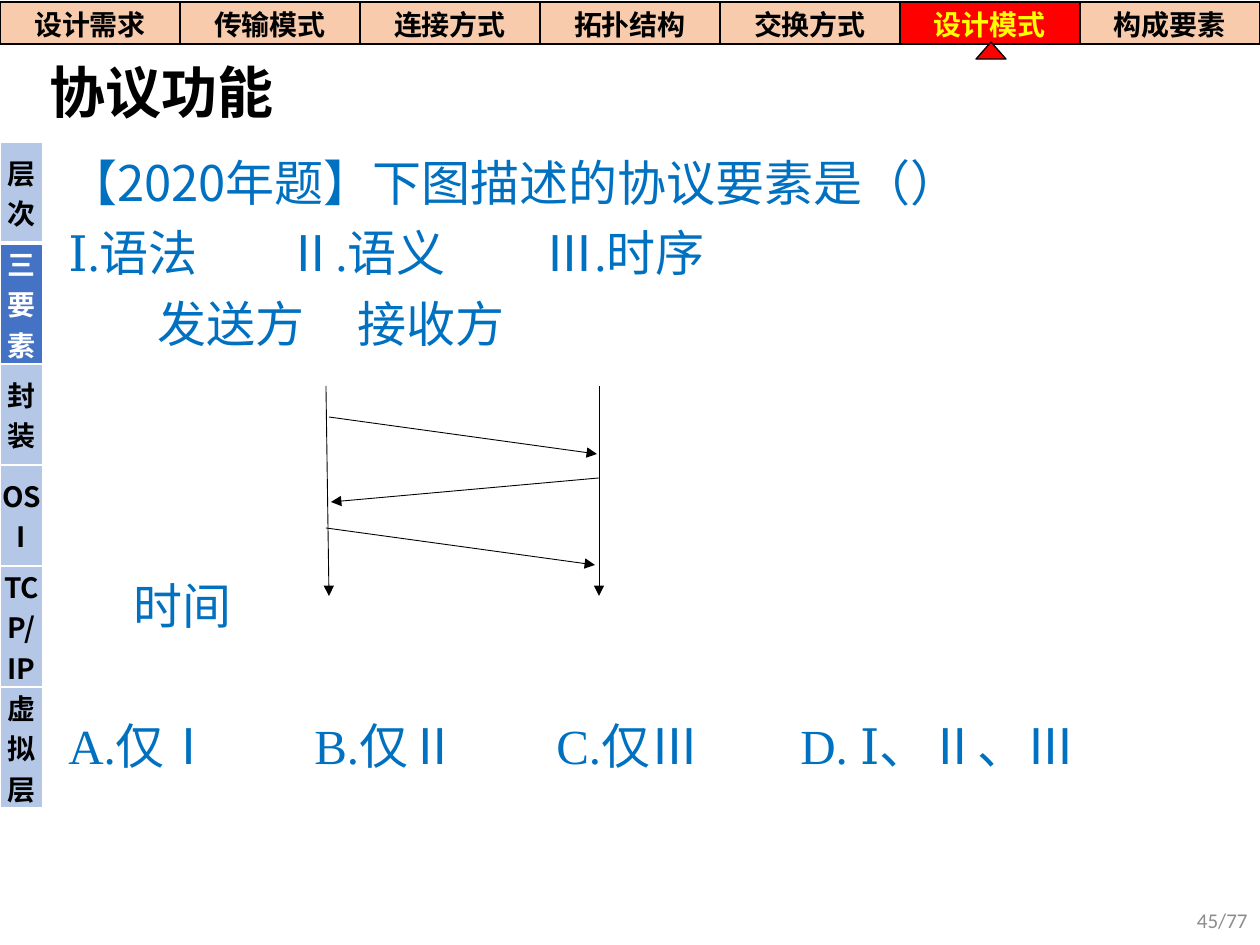
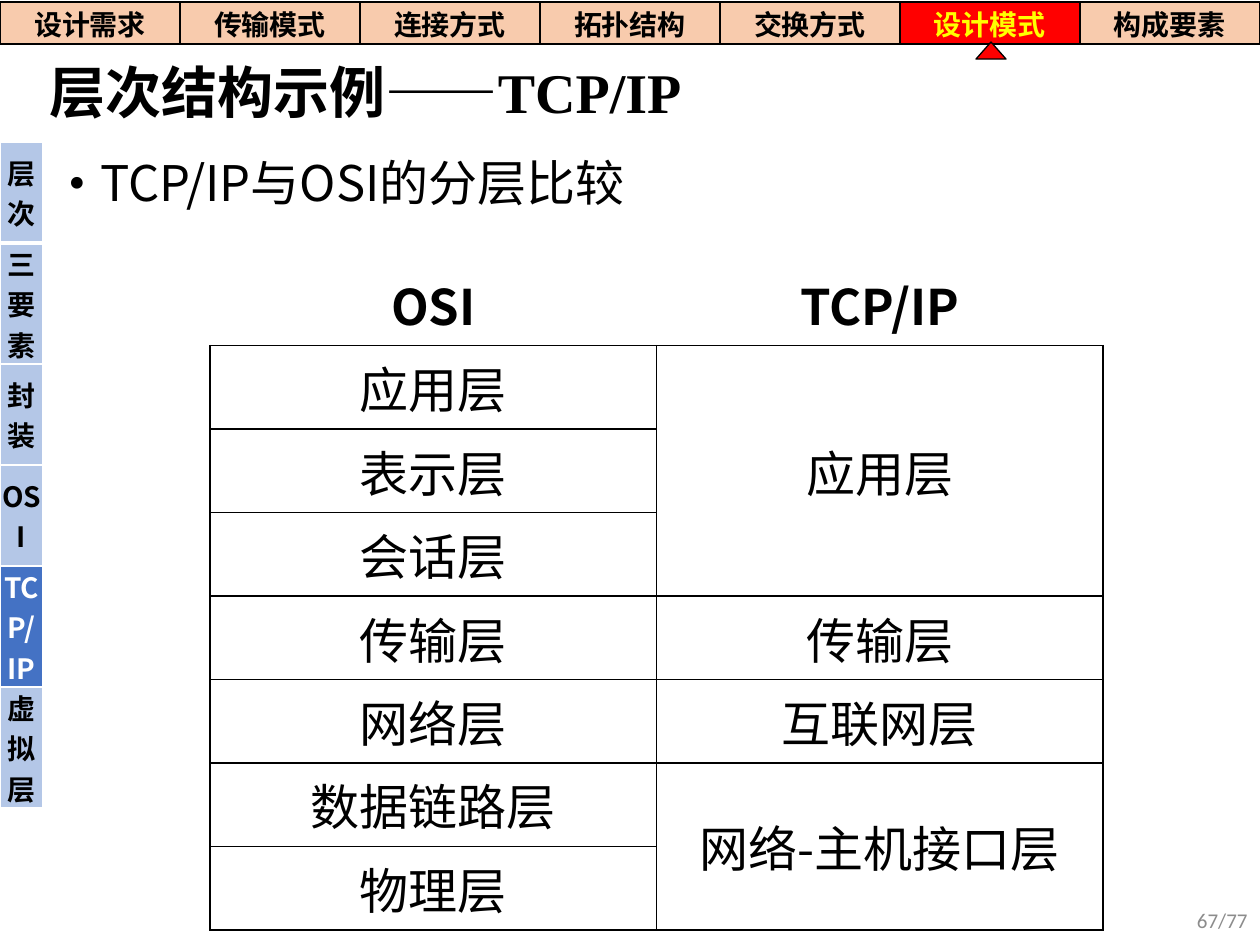
"""Builds two lecture slides on protocol elements and network layering."""
import pptx
import pptx.util
import pptx.dml.color
import pptx.enum.shapes
import pptx.enum.text
import pptx.oxml.ns
import lxml.etree

PX = 914400 / 126
SANS, SERIF, SMALL = "Noto Sans CJK SC", "Times New Roman", "Calibri"
COLORS = {
    "black": "000000", "white": "FFFFFF", "blue": "0070C0", "peach": "F8CBAD",
    "red": "FF0000", "yellow": "FFFF00", "pale": "B4C7E7", "strong": "4472C4",
    "gray": "8C8C8C",
}
ALIGN = pptx.enum.text.PP_ALIGN
MIDDLE = pptx.enum.text.MSO_ANCHOR.MIDDLE

CHAPTERS = ["设计需求", "传输模式", "连接方式", "拓扑结构", "交换方式", "设计模式", "构成要素"]
CHAPTER = "设计模式"
SECTIONS = [("层次", 101), ("三要素", 121), ("封装", 101), ("OSI", 101),
            ("TCP/IP", 121), ("虚拟层", 121)]

QUESTION = [
    ("【2020年题】下图描述的协议要素是（）", SANS, 10, []),
    ("Ⅰ.语法\tⅡ.语义\tⅢ.时序", SERIF, 10, [218, 477]),
    ("\t发送方\t接收方", SANS, 10, [89, 289]),
    ("\t时间", SANS, 131, [65]),
    ("A.仅Ⅰ\tB.仅Ⅱ\tC.仅Ⅲ\tD. Ⅰ、Ⅱ、Ⅲ", SERIF, 50, [246, 488, 732]),
]
TIMELINES = [((326, 386), (329, 596)), ((599, 386), (599, 596))]
MESSAGES = [((329, 417), (597, 454)), ((599, 478), (331, 502)), ((326, 528), (595, 565))]

COMPARISON_TITLE = "TCP/IP与OSI的分层比较"
OSI = ["OSI", "应用层", "表示层", "会话层", "传输层", "网络层", "数据链路层", "物理层"]
TCPIP = [("TCP/IP", 1), ("应用层", 3), ("传输层", 1), ("互联网层", 1), ("网络-主机接口层", 2)]


def px(n):
    return pptx.util.Emu(round(n * PX))


def rgb(name):
    return pptx.dml.color.RGBColor.from_string(COLORS[name])


def sub(parent, tag, **attrs):
    return lxml.etree.SubElement(parent, pptx.oxml.ns.qn(tag), attrs)


def style(p, size, color, font=SANS, bold=False, align=None):
    p.alignment = align
    for r in p.runs:
        r.font.size = pptx.util.Pt(size)
        r.font.bold = bold
        r.font.color.rgb = rgb(color)
        r.font.name = font
        sub(r._r.get_or_add_rPr(), "a:ea", typeface=SANS)


def add_text(s, box, anchor=None):
    tf = s.shapes.add_textbox(*map(px, box)).text_frame
    tf.word_wrap = True
    tf.vertical_anchor = anchor
    return tf


def add_grid(s, left, top, width, heights, cols):
    box = (left, top, width, sum(heights))
    table = s.shapes.add_table(len(heights), cols, *map(px, box)).table
    table.first_row = table.horz_banding = False
    for row, height in zip(table.rows, heights):
        row.height = px(height)
    for col in table.columns:
        col.width = px(width / cols)
    return table


def set_cell(cell, fill, border, widths):
    tcPr = cell._tc.get_or_add_tcPr()
    for side, width in zip("LRTB", widths):
        ln = sub(tcPr, "a:ln" + side, w=str(pptx.util.Pt(width)))
        if width:
            sub(sub(ln, "a:solidFill"), "a:srgbClr", val=COLORS[border])
        else:
            sub(ln, "a:noFill")
    if fill:
        cell.fill.solid()
        cell.fill.fore_color.rgb = rgb(fill)
    else:
        cell.fill.background()
    cell.vertical_anchor = MIDDLE


def add_label(cell, text, fill, color, border, widths):
    set_cell(cell, fill, border, widths)
    cell.margin_left = cell.margin_right = cell.margin_top = cell.margin_bottom = 0
    cell.text = text
    style(cell.text_frame.paragraphs[0], 16, color, bold=True, align=ALIGN.CENTER)


def add_arrow(s, start, end):
    line = s.shapes.add_connector(
        pptx.enum.shapes.MSO_CONNECTOR.STRAIGHT, *map(px, start + end))
    line.line.color.rgb = rgb("black")
    line.line.width = pptx.util.Pt(0.5)
    sub(line.line._get_or_add_ln(), "a:tailEnd", type="triangle")
    sub(line._element.spPr, "a:effectLst")


def add_frame(prs, title, title_font, section, page):
    s = prs.slides.add_slide(prs.slide_layouts[6])
    tf = add_text(s, (37, 49, 1193, 93), MIDDLE)
    tf.text = title
    p = tf.paragraphs[0]
    p.line_spacing = 0.9
    style(p, 32, "black", title_font, True, ALIGN.JUSTIFY)

    chapters = add_grid(s, 0, 2, 1260, [42], len(CHAPTERS))
    for i, name in enumerate(CHAPTERS):
        fill, color = ("red", "yellow") if name == CHAPTER else ("peach", "black")
        add_label(chapters.cell(0, i), name, fill, color, "black", (1, 1, 1, 1))
    marker = s.shapes.add_shape(
        pptx.enum.shapes.MSO_SHAPE.FLOWCHART_EXTRACT, *map(px, (976, 42, 30, 17)))
    marker.shadow.inherit = False
    marker.fill.solid()
    marker.fill.fore_color.rgb = rgb("red")
    marker.line.color.rgb = rgb("black")
    marker.line.width = pptx.util.Pt(0.75)

    sections = add_grid(s, 0, 142, 43, [height for _, height in SECTIONS], 1)
    for i, (name, _) in enumerate(SECTIONS):
        fill, color = ("strong", "white") if name == section else ("pale", "black")
        widths = (1, 1, 3 if i == 1 else 1, 3 if i == 0 else 1)
        add_label(sections.cell(i, 0), name, fill, color, "white", widths)

    tf = add_text(s, (977, 895, 283, 50), MIDDLE)
    tf.text = page
    style(tf.paragraphs[0], 12, "gray", SMALL, align=ALIGN.RIGHT)
    return s


def add_body(s, lines, color):
    tf = add_text(s, (56, 153, 1173, 745))
    for i, (text, font, before, tabs) in enumerate(lines):
        p = tf.add_paragraph() if i else tf.paragraphs[0]
        p.text = text
        p.line_spacing = 0.9
        p.space_before = pptx.util.Pt(before)
        style(p, 28, color, font)
        if tabs:
            tab_list = sub(p._p.get_or_add_pPr(), "a:tabLst")
            for x in tabs:
                sub(tab_list, "a:tab", pos=str(px(x)), algn="l")
    return tf


def add_question(prs):
    s = add_frame(prs, "协议功能", SANS, "三要素", "45/77")
    add_body(s, QUESTION, "blue")
    for start, end in TIMELINES + MESSAGES:
        add_arrow(s, start, end)


def add_comparison(prs):
    s = add_frame(prs, "层次结构示例——TCP/IP", SERIF, "TCP/IP", "67/77")
    tf = add_body(s, [(COMPARISON_TITLE, SANS, 10, [])], "black")
    pPr = tf.paragraphs[0]._p.get_or_add_pPr()
    pPr.set("marL", str(px(32)))
    pPr.set("indent", str(px(-32)))
    sub(pPr, "a:buFont", typeface=SERIF)
    sub(pPr, "a:buChar", char="•")

    layers = add_grid(s, 210, 262, 893, [83.5] * len(OSI), 2)
    for i, name in enumerate(OSI):
        layers.cell(i, 0).text = name
        for j in range(2):
            widths = (1, 1, 1, 1) if i else (0, 0, 0, 1)
            set_cell(layers.cell(i, j), None, "black", widths)
    top = 0
    for name, span in TCPIP:
        cell = layers.cell(top, 1)
        cell.text = name
        if span > 1:
            cell.merge(layers.cell(top + span - 1, 1))
        top += span
    for cell in layers.iter_cells():
        style(cell.text_frame.paragraphs[0], 28, "black",
              bold=cell.text in ("OSI", "TCP/IP"), align=ALIGN.CENTER)


def main():
    prs = pptx.Presentation()
    prs.slide_width, prs.slide_height = px(1260), px(945)
    add_question(prs)
    add_comparison(prs)
    prs.save("out.pptx")


if __name__ == "__main__":
    main()
